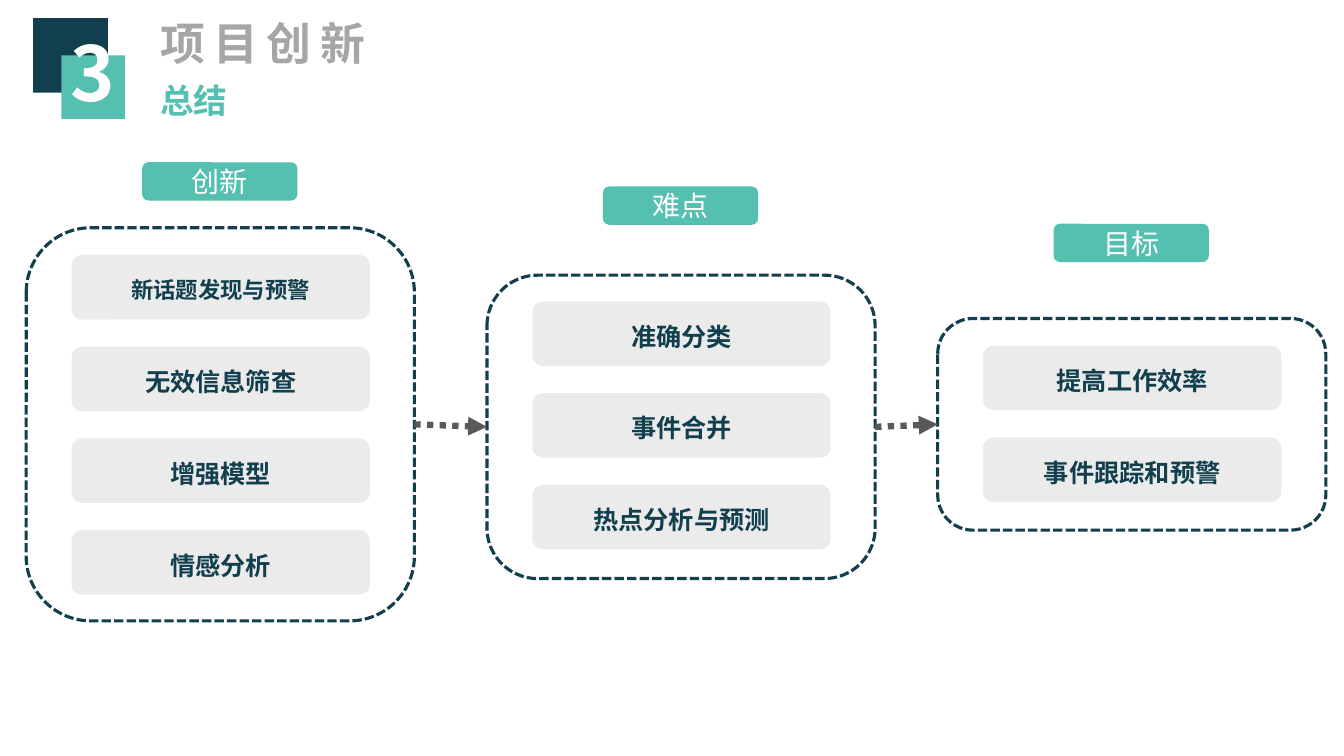
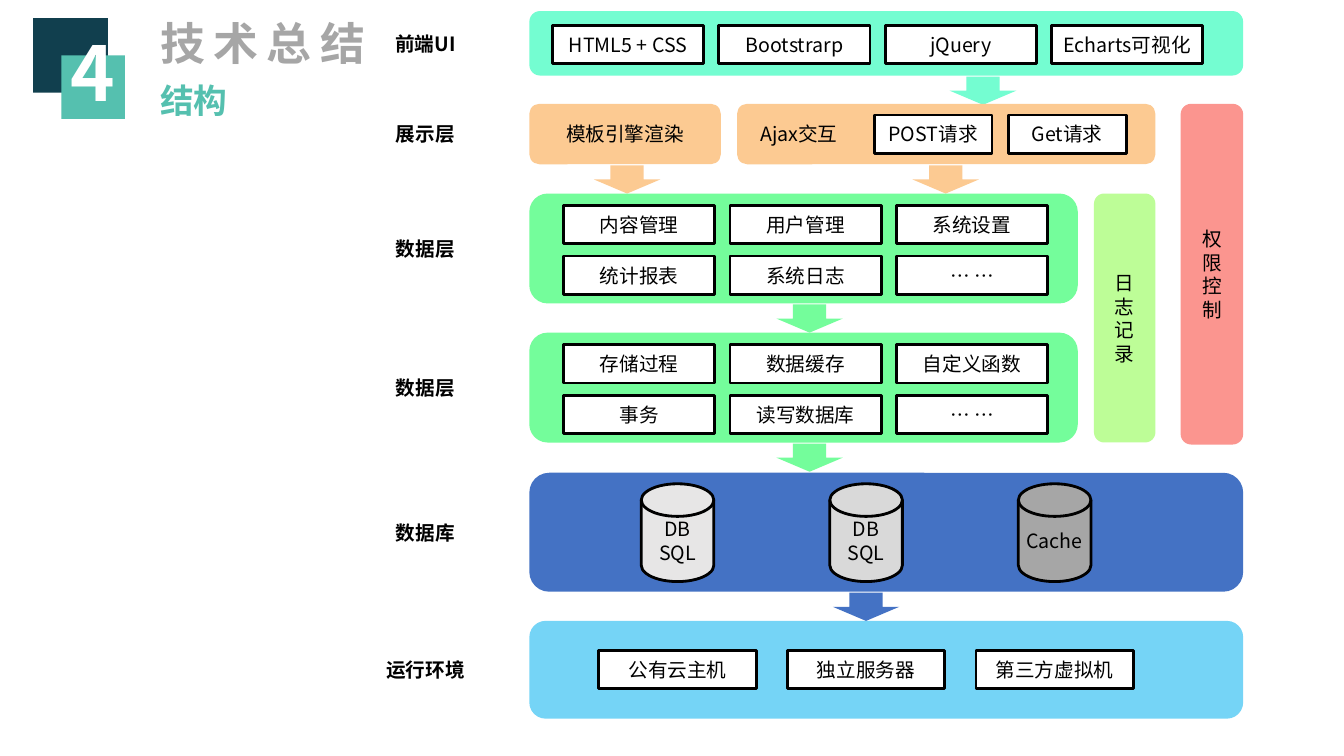
import collections

import pptx
import pptx.dml.color
import pptx.enum.dml
import pptx.enum.shapes
import pptx.enum.text
import pptx.oxml.ns
import pptx.util
from lxml import etree

Inches = pptx.util.Inches
Pt = pptx.util.Pt
qn = pptx.oxml.ns.qn
Shape = pptx.enum.shapes.MSO_SHAPE
Align = pptx.enum.text.PP_ALIGN
Anchor = pptx.enum.text.MSO_ANCHOR
Dash = pptx.enum.dml.MSO_LINE

Box = collections.namedtuple("Box", "left top width height")

FONT = "Noto Sans CJK SC"
NAVY = "113F4E"
TEAL = "55C0AF"
GREY = "A6A6A6"
DARK_GREY = "595959"
PALE_GREY = "D9D9D9"
WHITE = "FFFFFF"
BLACK = "000000"
MINT = "74FDD1"
ORANGE = "FCCA92"
GREEN = "74FD9B"
BLUE = "4472C4"
SKY = "00B0F0"
LIME = "BDFD97"
CORAL = "FB958F"

LAYER_LEFT = 5.25
FULL_WIDTH = 7.08
CELL_HEIGHT = 0.38


def color(hex_text):
    return pptx.dml.color.RGBColor.from_string(hex_text)


def lengths(box):
    return [Inches(value) for value in box]


def set_text(shape, text, size=14, fill=BLACK, bold=False, align=Align.CENTER,
             anchor=Anchor.MIDDLE, wrap=True, spacing=None, margins=(0.1, 0.05, 0.1, 0.05)):
    """Write one formatted paragraph; margins run left, top, right, bottom."""
    frame = shape.text_frame
    frame.auto_size = pptx.enum.text.MSO_AUTO_SIZE.NONE
    frame.word_wrap = wrap
    frame.vertical_anchor = anchor
    (frame.margin_left, frame.margin_top,
     frame.margin_right, frame.margin_bottom) = lengths(margins)
    paragraph = frame.paragraphs[0]
    paragraph.alignment = align
    paragraph.space_before = Pt(0)
    run = paragraph.add_run()
    run.text = text
    run.font.size = Pt(size)
    run.font.bold = bold
    run.font.color.rgb = color(fill)
    run.font.name = FONT
    properties = run._r.get_or_add_rPr()
    etree.SubElement(properties, qn("a:ea")).set("typeface", FONT)
    if spacing:
        properties.set("spc", str(spacing * 100))
    return paragraph


def add_box(slide, kind, box, fill=None, alpha=None, line=None, line_width=2, dash=None):
    shape = slide.shapes.add_shape(kind, *lengths(box))
    shape.shadow.inherit = False
    if fill:
        shape.fill.solid()
        shape.fill.fore_color.rgb = color(fill)
        if alpha:
            value = shape._element.spPr.find(qn("a:solidFill"))[0]
            etree.SubElement(value, qn("a:alpha")).set("val", str(alpha * 1000))
    else:
        shape.fill.background()
    if line:
        shape.line.color.rgb = color(line)
        shape.line.width = Pt(line_width)
        if dash:
            shape.line.dash_style = dash
    else:
        shape.line.fill.background()
    return shape


def add_text(slide, box, text, **text_format):
    set_text(slide.shapes.add_textbox(*lengths(box)), text, **text_format)


def fill_placeholder(placeholder, box, text, **text_format):
    (placeholder.left, placeholder.top,
     placeholder.width, placeholder.height) = lengths(box)
    paragraph = set_text(placeholder, text, bold=True, align=Align.LEFT,
                         anchor=Anchor.TOP, **text_format)
    properties = paragraph._p.get_or_add_pPr()
    properties.set("marL", "0")
    properties.set("indent", "0")
    etree.SubElement(properties, qn("a:buNone"))


def add_headed_slide(presentation, number, title, subtitle):
    """Add a slide with the numbered badge, title and subtitle."""
    slide = presentation.slides.add_slide(presentation.slide_layouts[1])
    add_box(slide, Shape.RECTANGLE, Box(0.33, 0.18, 0.74, 0.74), fill=NAVY)
    add_box(slide, Shape.RECTANGLE, Box(0.61, 0.55, 0.63, 0.63), fill=TEAL)
    add_text(slide, Box(0.59, 0.21, 0.67, 1.01), number, size=54, fill=WHITE,
             bold=True, wrap=False, anchor=Anchor.TOP)
    fill_placeholder(slide.shapes.title, Box(1.49, 0.11, 5.18, 0.64), title,
                     size=32, fill=GREY, spacing=6)
    fill_placeholder(slide.placeholders[1], Box(1.49, 0.74, 4.48, 0.5), subtitle,
                     size=24, fill=TEAL)
    return slide


def add_topic_group(slide, frame, heading, heading_top, items, first_item, item_sizes):
    """Draw a heading over a dashed frame of items and return the frame."""
    heading_box = Box(frame.left + 1.15, heading_top, 1.54, 0.38)
    heading_shape = add_box(slide, Shape.ROUNDED_RECTANGLE, heading_box, fill=TEAL)
    set_text(heading_shape, heading, size=20, fill=WHITE)
    for index, item in enumerate(items):
        item_box = Box(frame.left + 0.45, frame.top + first_item + index * 0.91, 2.96, 0.64)
        shape = add_box(slide, Shape.ROUNDED_RECTANGLE, item_box, fill=PALE_GREY, alpha=50)
        set_text(shape, item, size=item_sizes.get(index, 18), fill=NAVY, bold=True,
                 margins=(0.1, 0.1, 0.1, 0.05))
    return add_box(slide, Shape.ROUNDED_RECTANGLE, frame, line=NAVY, line_width=2.25,
                   dash=Dash.SQUARE_DOT)


def connect_frames(slide, source, target):
    connector = slide.shapes.add_connector(pptx.enum.shapes.MSO_CONNECTOR.STRAIGHT, 0, 0, 0, 0)
    connector.begin_connect(source, 3)
    connector.end_connect(target, 1)
    connector.line.color.rgb = color(DARK_GREY)
    connector.line.width = Pt(4.5)
    connector.line.dash_style = Dash.ROUND_DOT
    etree.SubElement(connector.line._get_or_add_ln(), qn("a:tailEnd")).set("type", "triangle")
    etree.SubElement(connector._element.spPr, qn("a:effectLst"))


def add_layer(slide, box, fill, label=None, alpha=None):
    """Draw a layer's band and, in the column to its left, its label."""
    if label:
        add_text(slide, Box(3.62, box.top, 1.2, box.height), label, bold=True)
    return add_box(slide, Shape.ROUNDED_RECTANGLE, box, fill=fill, alpha=alpha)


def add_cells(slide, box, rows, left, top, width=1.5, pitch=1.65):
    """Lay out rows of bordered cells, offset from the corner of a band."""
    for row, texts in enumerate(rows):
        for column, text in enumerate(texts):
            cell_box = Box(box.left + left + column * pitch, box.top + top + row * 0.5,
                           width, CELL_HEIGHT)
            cell = add_box(slide, Shape.RECTANGLE, cell_box, fill=WHITE, line=BLACK)
            set_text(cell, text, margins=(0.05, 0.05, 0.05, 0.05))


def add_disks(slide, box, disks):
    for index, (text, fill) in enumerate(disks):
        disk_box = Box(box.left + 1.11 + index * 1.87, box.top + 0.11, 0.72, 0.97)
        disk = add_box(slide, Shape.FLOWCHART_MAGNETIC_DISK, disk_box, fill=fill, line=BLACK)
        set_text(disk, text, margins=(0.06, 0.05, 0.06, 0.05))


def add_down_arrow(slide, band, left, fill):
    """Point down from the lower edge of a band."""
    top = band.top + band.height + 0.01
    add_box(slide, Shape.DOWN_ARROW, Box(left, top, 0.66, 0.28), fill=fill)


def build_innovation_slide(presentation):
    slide = add_headed_slide(presentation, "3", "项目创新", "总结")
    innovations = add_topic_group(
        slide, Box(0.26, 2.26, 3.85, 3.9), "创新", 1.61,
        ["新话题发现与预警", "无效信息筛查", "增强模型", "情感分析"], 0.27, {0: 16})
    difficulties = add_topic_group(
        slide, Box(4.83, 2.73, 3.85, 3.01), "难点", 1.85,
        ["准确分类", "事件合并", "热点分析与预测"], 0.26, {})
    goals = add_topic_group(
        slide, Box(9.3, 3.16, 3.85, 2.1), "目标", 2.22,
        ["提高工作效率", "事件跟踪和预警"], 0.27, {})
    connect_frames(slide, innovations, difficulties)
    connect_frames(slide, difficulties, goals)


def build_architecture_slide(presentation):
    slide = add_headed_slide(presentation, "4", "技术总结", "结构")

    front_end = Box(LAYER_LEFT, 0.11, FULL_WIDTH, 0.64)
    add_layer(slide, front_end, MINT, "前端UI")
    add_cells(slide, front_end, [["HTML5 + CSS", "Bootstrarp", "jQuery", "Echarts可视化"]],
              0.23, 0.14)
    add_down_arrow(slide, front_end, 9.42, MINT)

    template_engine = Box(LAYER_LEFT, 1.03, 1.9, 0.6)
    set_text(add_layer(slide, template_engine, ORANGE, "展示层"), "模板引擎渲染")
    add_down_arrow(slide, template_engine, 5.89, ORANGE)
    ajax = Box(7.31, 1.03, 4.15, 0.6)
    set_text(add_layer(slide, ajax, ORANGE), "Ajax交互", align=Align.LEFT,
             margins=(0.2, 0.05, 0.1, 0.05))
    add_cells(slide, ajax, [["POST请求", "Get请求"]], 1.36, 0.11, width=1.17, pitch=1.33)
    add_down_arrow(slide, ajax, 9.05, ORANGE)

    data_layers = [
        (1.92, [["内容管理", "用户管理", "系统设置"], ["统计报表", "系统日志", "… …"]]),
        (3.3, [["存储过程", "数据缓存", "自定义函数"], ["事务", "读写数据库", "… …"]]),
    ]
    for top, rows in data_layers:
        data_band = Box(LAYER_LEFT, top, 5.44, 1.09)
        add_layer(slide, data_band, GREEN, "数据层")
        add_cells(slide, data_band, rows, 0.34, 0.12)
        add_down_arrow(slide, data_band, 7.7, GREEN)

    database = Box(LAYER_LEFT, 4.69, FULL_WIDTH, 1.18)
    add_layer(slide, database, BLUE, "数据库")
    add_disks(slide, database, [("DB SQL", "E7E6E6"), ("DB SQL", PALE_GREY), ("Cache", GREY)])
    add_down_arrow(slide, database, 8.26, BLUE)

    environment = Box(LAYER_LEFT, 6.16, FULL_WIDTH, 0.97)
    add_layer(slide, environment, SKY, "运行环境", alpha=54)
    add_cells(slide, environment, [["公有云主机", "独立服务器", "第三方虚拟机"]],
              0.69, 0.29, width=1.56, pitch=1.87)

    set_text(add_layer(slide, Box(10.85, 1.92, 0.61, 2.47), LIME), "日志记录")
    set_text(add_layer(slide, Box(11.71, 1.03, 0.62, 3.38), CORAL), "权限控制")


def main():
    presentation = pptx.Presentation()
    presentation.slide_width = Inches(13.33)
    presentation.slide_height = Inches(7.5)
    build_innovation_slide(presentation)
    build_architecture_slide(presentation)
    presentation.save("out.pptx")


if __name__ == "__main__":
    main()
